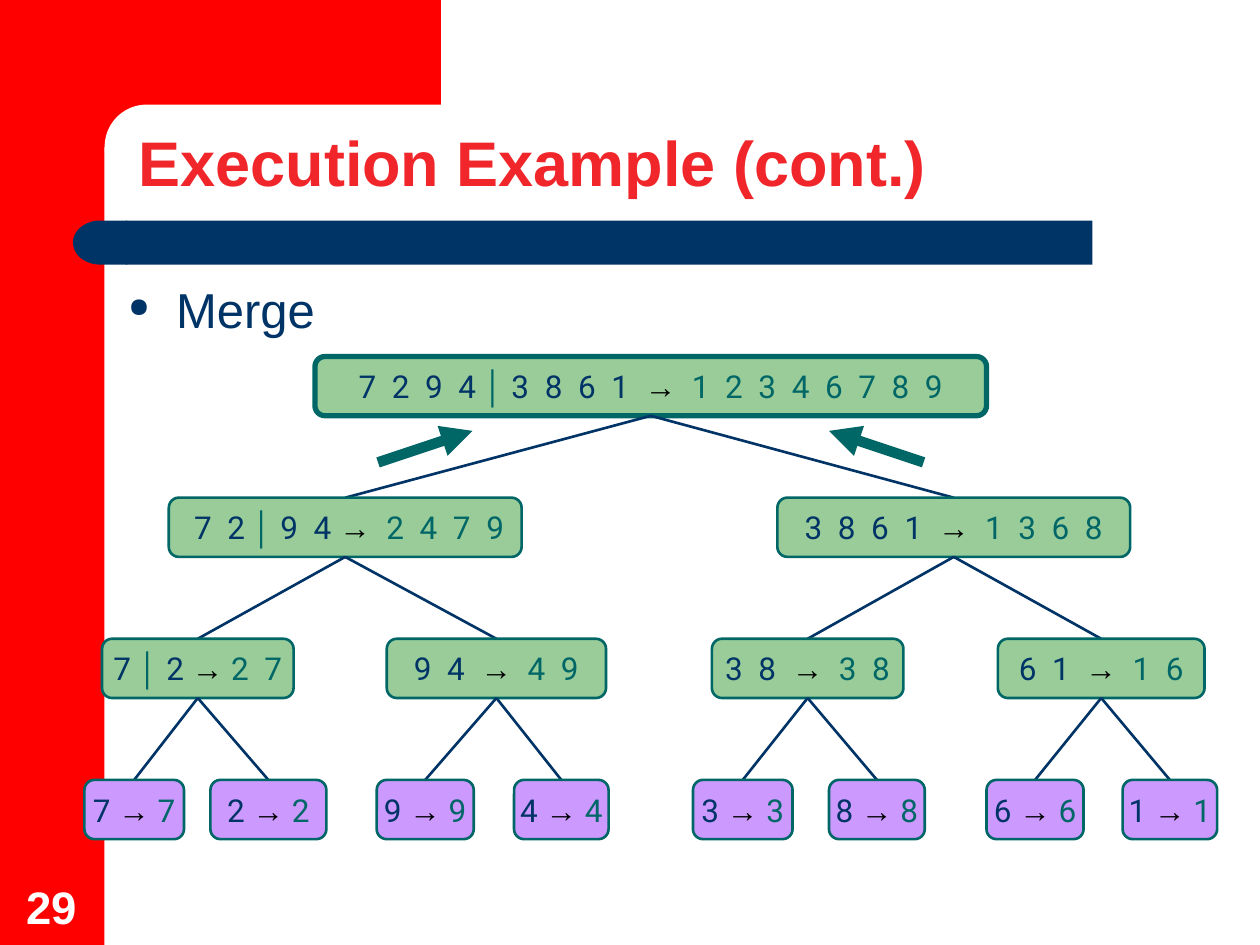
from lxml import etree
from pptx import Presentation, util as u
from pptx.dml.color import RGBColor
from pptx.enum import shapes, text
from pptx.oxml.ns import qn

HUES = dict(red="FF0000", title="F0262B", white="FFFFFF", navy="003366",
            teal="006666", green="99CC99", lilac="CC99FF", black="000000")
TITLE = "Execution Example (cont.)"
TOPIC = "Merge"
PAGE = "29"

# Merge tree: each node is (left, width, label), node i hangs from i // 2 above
TREE = [
    [(2.5, 5.33, "7  2  9  4 │ 3  8  6  1  →  1  2  3  4  6  7  8  9")],
    [(1.34, 2.8, " 7  2 │ 9  4 →  2  4  7  9"),
     (6.17, 2.8, "3  8  6  1  →  1  3  6  8")],
    [(0.81, 1.52, "7 │ 2 → 2  7"), (3.07, 1.74, "9  4  →  4  9"),
     (5.65, 1.52, "3  8  →  3  8"), (7.92, 1.64, "6  1  →  1  6")],
    [(0.67, 0.79, "7 → 7"), (1.67, 0.92, "2 → 2"),
     (2.99, 0.77, "9 → 9"), (4.08, 0.75, "4 → 4"),
     (5.5, 0.79, "3 → 3"), (6.58, 0.76, "8 → 8"),
     (7.83, 0.77, "6 → 6"), (8.91, 0.75, "1 → 1")],
]
TOP, STEP, TALL = 2.83, 1.12, 0.47
ARROWS = [(3, 3.75), (7.33, 6.58)]  # tail x, tip x

# Frame: kind, left, top, width, height, colour, corner
KIND = shapes.MSO_SHAPE
FRAME = [
    (KIND.RECTANGLE, 0, 0, 0.83, 7.5, "red", None),
    (KIND.RECTANGLE, 0.75, 0, 2.75, 1.17, "red", None),
    (KIND.ROUNDED_RECTANGLE, 0.83, 0.83, 5.58, 0.67, "white", 0.5),
    (KIND.RECTANGLE, 1, 1.75, 7.67, 0.35, "navy", None),
    (KIND.FLOWCHART_DELAY, 0.58, 1.75, 0.43, 0.35, "navy", None),
]


def rgb(hue):
    return RGBColor.from_string(HUES[hue])


def style(font, size, hue, bold=False, name="Arial"):
    font.size, font.bold, font.name = u.Pt(size), bold, name
    font.color.rgb = rgb(hue)


def block(kind, x, y, w, h, hue, corner=None):
    shape = slide.shapes.add_shape(kind, *map(u.Inches, (x, y, w, h)))
    shape.shadow.inherit = False
    shape.fill.solid()
    shape.fill.fore_color.rgb = rgb(hue)
    shape.line.fill.background()
    if corner is not None:
        shape.adjustments[0] = corner
    return shape


def link(x1, y1, x2, y2, hue="navy", width=1.5, tip=False):
    line = slide.shapes.add_connector(
        shapes.MSO_CONNECTOR.STRAIGHT, *map(u.Inches, (x1, y1, x2, y2)))
    line.line.color.rgb = rgb(hue)
    line.line.width = u.Pt(width)
    if tip:
        etree.SubElement(line._element.spPr.find(qn("a:ln")),
                         qn("a:tailEnd"), type="triangle")
    etree.SubElement(line._element.spPr, qn("a:effectLst"))


def node(x, y, w, label, hue, edge):
    shape = block(KIND.ROUNDED_RECTANGLE, x, y, w, TALL, hue, 0.17)
    shape.line.color.rgb = rgb("teal")
    shape.line.width = u.Pt(edge)
    frame = shape.text_frame
    frame.word_wrap = False
    frame.vertical_anchor = text.MSO_ANCHOR.MIDDLE
    para = frame.paragraphs[0]
    para.alignment = text.PP_ALIGN.CENTER
    # Input numbers, optional split bar, arrow, sorted numbers
    left, mark, right = label.partition("→")
    first, bar, rest = left.partition("│")
    for part, tone, bold, name in [
            (first, "navy", False, "Roboto"), (bar, "teal", True, "Arial"),
            (rest, "navy", False, "Roboto"), (mark, "black", True, "Arial"),
            (right, "teal", False, "Roboto")]:
        if part:
            run = para.add_run()
            run.text = part
            style(run.font, 18, tone, bold, name)


def write(shape, x, y, w, h, words, size, hue, bold, anchor, wrap=True):
    shape.left, shape.top, shape.width, shape.height = map(
        u.Inches, (x, y, w, h))
    frame = shape.text_frame
    frame.word_wrap = wrap
    frame.vertical_anchor = anchor
    para = frame.paragraphs[0]
    para.text = words
    para.alignment = text.PP_ALIGN.LEFT
    style(para.font, size, hue, bold)
    return para


deck = Presentation()
deck.slide_width, deck.slide_height = u.Inches(10), u.Inches(7.5)
slide = deck.slides.add_slide(deck.slide_layouts[5])

# Frame
for row in FRAME:
    part = block(*row)
    if row[0] == KIND.FLOWCHART_DELAY:
        part._element.spPr.find(qn("a:xfrm")).set("flipH", "1")

# Title, brought in front of the frame
ANCHOR = text.MSO_ANCHOR
title = slide.shapes.title
slide.shapes._spTree.append(title._element)
head = write(title, 1, 1, 8.75, 0.64, TITLE, 36, "title", True, ANCHOR.BOTTOM)
head.line_spacing = 0.9
title.text_frame.auto_size = text.MSO_AUTO_SIZE.NONE

# Page number and topic
write(slide.shapes.add_textbox(0, 0, 0, 0), 0.11, 6.92, 0.64, 0.54, PAGE, 26,
      "white", True, ANCHOR.BOTTOM, False)
topic = write(slide.shapes.add_textbox(0, 0, 0, 0), 0.92, 2.17, 8.5, 0.57,
              TOPIC, 28, "navy", False, ANCHOR.TOP)
props = topic._p.get_or_add_pPr()
props.set("marL", str(u.Inches(0.38)))
props.set("indent", str(-u.Inches(0.38)))
bullet = [etree.Element(qn("a:buSzPct"), val="55000"),
          etree.Element(qn("a:buChar"), char="●")]
for spot, item in enumerate(bullet):
    props.insert(spot, item)

# Tree
for depth, level in enumerate(TREE):
    y = TOP + depth * STEP
    hue = "lilac" if depth == len(TREE) - 1 else "green"
    for i, (x, w, label) in enumerate(level):
        if depth:
            px, pw, _ = TREE[depth - 1][i // 2]
            link(px + pw / 2, y - STEP + TALL, x + w / 2, y)
        node(x, y, w, label, hue, 1.5 if depth else 3)

# Merge arrows
for tail, tip in ARROWS:
    link(tail, 3.67, tip, 3.42, "teal", 6, True)

deck.save("out.pptx")
